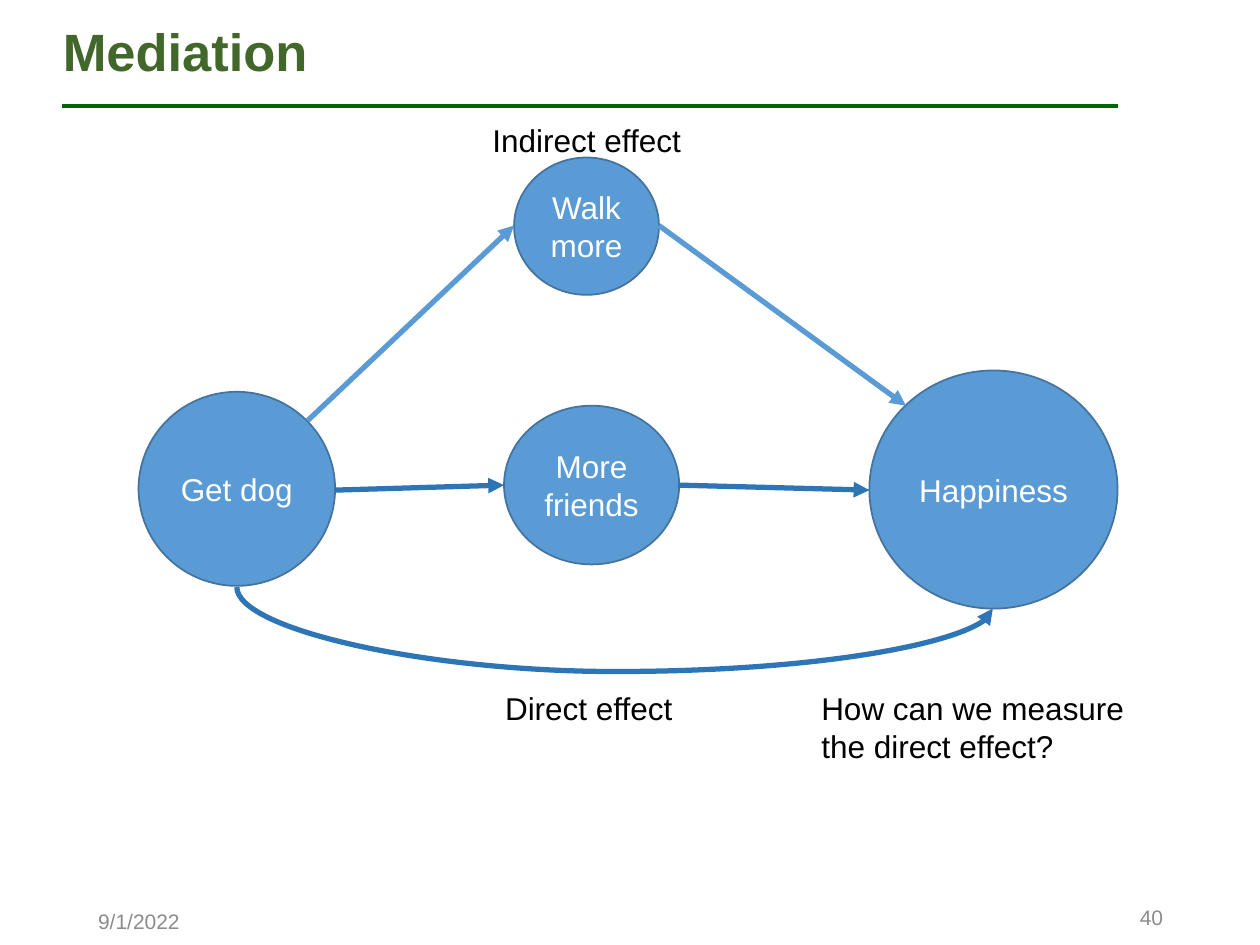
"""Build the Mediation slide: a path diagram from getting a dog to happiness."""
import pptx
import pptx.dml.color
import pptx.enum.shapes
import pptx.enum.text
import pptx.oxml.ns
import pptx.util
from lxml import etree

Inches = pptx.util.Inches
ALIGN = pptx.enum.text.PP_ALIGN
ANCHOR = pptx.enum.text.MSO_ANCHOR
CONNECTOR = pptx.enum.shapes.MSO_CONNECTOR
LIGHT_BLUE, DARK_BLUE = "5B9BD5", "2E75B6"
GREY = "8C8C8C"


def color(hex_value):
    """Return the RGB colour for a hex string."""
    return pptx.dml.color.RGBColor.from_string(hex_value)


def write(frame, text, size, ink, align, anchor, bold=False):
    """Fill a text frame with one paragraph per line of text."""
    frame.word_wrap = True
    frame.vertical_anchor = anchor
    frame.text = text
    for paragraph in frame.paragraphs:
        paragraph.alignment = align
        font = paragraph.font
        font.name, font.size, font.bold = "Arial", pptx.util.Pt(size), bold
        font.color.rgb = color(ink)


def add_label(slide, box, text, size=18, ink="000000", align=ALIGN.LEFT,
              anchor=ANCHOR.TOP, bold=False):
    """Add a text box at box (left, top, width, height)."""
    label = slide.shapes.add_textbox(*map(Inches, box))
    write(label.text_frame, text, size, ink, align, anchor, bold)
    return label


def add_node(slide, box, text):
    """Add one round variable of the diagram."""
    node = slide.shapes.add_shape(
        pptx.enum.shapes.MSO_SHAPE.OVAL, *map(Inches, box))
    node.shadow.inherit = False
    node.fill.solid()
    node.fill.fore_color.rgb = color(LIGHT_BLUE)
    node.line.color.rgb = color("43739E")
    node.line.width = pptx.util.Pt(1)
    write(node.text_frame, text, 18, "FFFFFF", ALIGN.CENTER, ANCHOR.MIDDLE)


def add_line(slide, start, end, ink, width, kind=CONNECTOR.STRAIGHT):
    """Add a plain connector without shadow."""
    line = slide.shapes.add_connector(kind, *map(Inches, (*start, *end)))
    line.line.color.rgb = color(ink)
    line.line.width = pptx.util.Pt(width)
    etree.SubElement(line.element.spPr, pptx.oxml.ns.qn("a:effectLst"))
    return line


def add_arrow(slide, start, end, ink, kind=CONNECTOR.STRAIGHT):
    """Add a connector with a triangle head at its end."""
    arrow = add_line(slide, start, end, ink, 3, kind)
    etree.SubElement(arrow.line._get_or_add_ln(),
                     pptx.oxml.ns.qn("a:tailEnd"), type="triangle")
    return arrow


def add_bowed_arrow(slide, start, end, bow, ink):
    """Add an arrow that leaves downward, bows below and comes up at its end."""
    across, down = end[0] - start[0], end[1] - start[1]
    middle_x, middle_y = (start[0] + end[0]) / 2, (start[1] + end[1]) / 2
    arrow = add_arrow(slide, (middle_x + down / 2, middle_y - across / 2),
                      (middle_x - down / 2, middle_y + across / 2),
                      ink, CONNECTOR.CURVE)
    properties = arrow.element.spPr
    properties.find(pptx.oxml.ns.qn("a:xfrm")).set("rot", str(270 * 60000))
    adjustments = properties.find(".//" + pptx.oxml.ns.qn("a:avLst"))
    etree.SubElement(adjustments, pptx.oxml.ns.qn("a:gd"), name="adj1",
                     fmla=f"val {round(bow / down * 100000)}")


def main():
    """Build and save the slide."""
    deck = pptx.Presentation()
    deck.slide_width, deck.slide_height = Inches(10), Inches(7.5)
    slide = deck.slides.add_slide(deck.slide_layouts[6])

    add_line(slide, (0.49, 0.84), (8.87, 0.84), "006600", 2)
    title = add_label(slide, (0.4, 0.08, 8.46, 0.7), "Mediation", 30, "42672B",
                      anchor=ANCHOR.MIDDLE, bold=True)
    title.text_frame.paragraphs[0].line_spacing = 0.9
    add_label(slide, (7.26, 7.06, 2.07, 0.44), "40", 12, GREY,
              ALIGN.RIGHT, ANCHOR.MIDDLE)
    add_label(slide, (0.68, 7.12, 2.25, 0.38), "9/1/2022", 12, GREY,
              anchor=ANCHOR.MIDDLE)

    for box, text in (
        ((6.9, 2.94, 1.97, 1.89), "Happiness"),
        ((1.1, 3.11, 1.56, 1.54), "Get dog"),
        ((4.08, 1.25, 1.15, 1.09), "Walk more"),
        ((4, 3.22, 1.39, 1.26), "More\nfriends"),
    ):
        add_node(slide, box, text)

    for start, end, ink in (
        ((2.44, 3.34), (4.08, 1.79), LIGHT_BLUE),
        ((5.23, 1.79), (7.19, 3.22), LIGHT_BLUE),
        ((2.66, 3.89), (4, 3.85), DARK_BLUE),
        ((5.38, 3.85), (6.9, 3.89), DARK_BLUE),
    ):
        add_arrow(slide, start, end, ink)
    add_bowed_arrow(slide, (1.88, 4.66), (7.88, 4.83), 0.67, DARK_BLUE)

    for box, text in (
        ((3.81, 0.91, 1.86, 0.4), "Indirect effect"),
        ((3.91, 5.42, 1.65, 0.4), "Direct effect"),
        ((6.42, 5.42, 2.8, 0.71), "How can we measure the direct effect?"),
    ):
        add_label(slide, box, text)

    deck.save("out.pptx")


if __name__ == "__main__":
    main()
